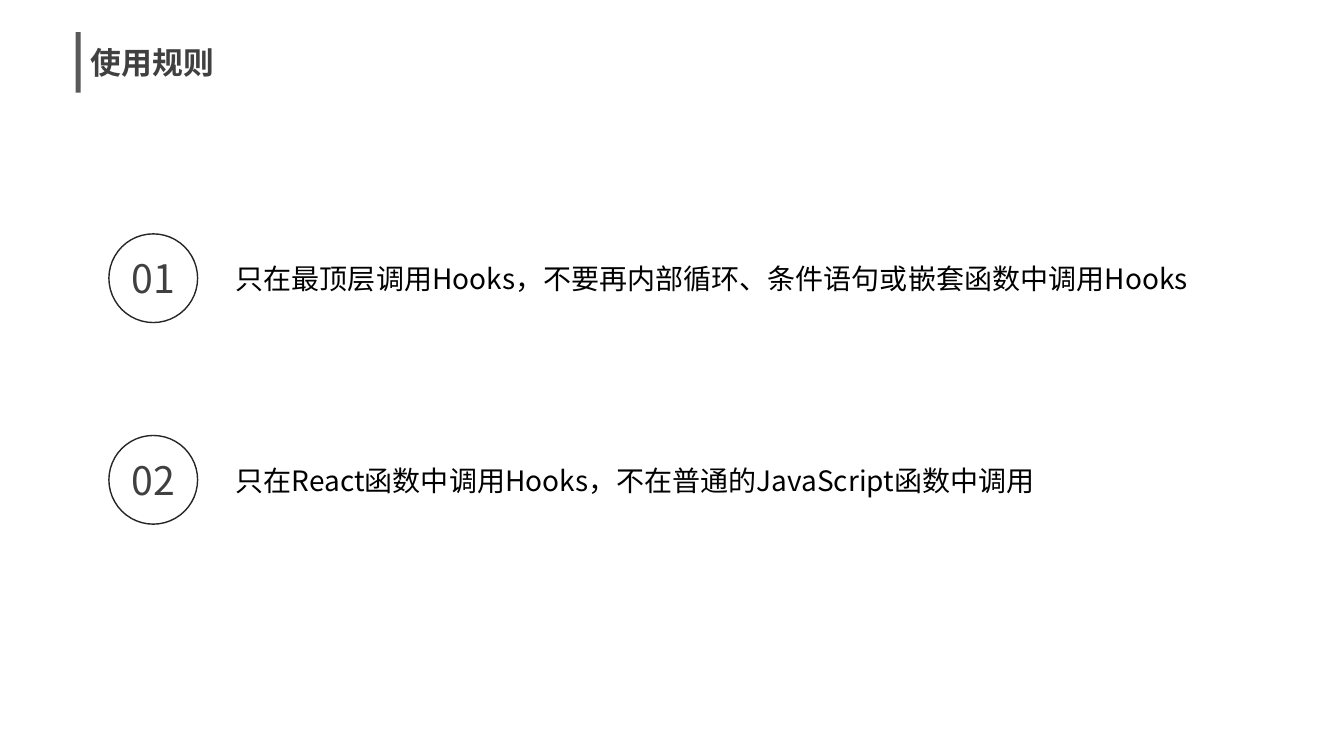
import pptx
import pptx.dml.color
import pptx.enum.shapes
import pptx.enum.text
import pptx.oxml.ns
import pptx.util
from lxml import etree

Inches = pptx.util.Inches
Shapes = pptx.enum.shapes.MSO_SHAPE
Align = pptx.enum.text.PP_ALIGN
Anchor = pptx.enum.text.MSO_ANCHOR
AutoSize = pptx.enum.text.MSO_AUTO_SIZE

FONT = "Noto Sans CJK SC"
RULES = [
    "只在最顶层调用Hooks，不要再内部循环、条件语句或嵌套函数中调用Hooks",
    "只在React函数中调用Hooks，不在普通的JavaScript函数中调用",
]


def color(hex_string):
    return pptx.dml.color.RGBColor.from_string(hex_string)


def write(shape, text, size, hex_string, alignment, anchor, wrap, bold=False):
    text_frame = shape.text_frame
    text_frame.text = text
    text_frame.word_wrap = wrap
    text_frame.vertical_anchor = anchor
    paragraph = text_frame.paragraphs[0]
    paragraph.alignment = alignment
    paragraph.line_spacing = 1.0
    run = paragraph.runs[0]
    run.font.size = pptx.util.Pt(size)
    run.font.bold = bold
    run.font.color.rgb = color(hex_string)
    run.font.name = FONT
    east_asian = etree.SubElement(run._r.get_or_add_rPr(), pptx.oxml.ns.qn("a:ea"))
    east_asian.set("typeface", FONT)


def add_heading(slide, text, left, top):
    bar = slide.shapes.add_shape(
        Shapes.RECTANGLE, Inches(left), Inches(top), Inches(0.05), Inches(0.6))
    bar.shadow.inherit = False
    bar.fill.solid()
    bar.fill.fore_color.rgb = color("595959")
    bar.line.fill.background()

    title = slide.shapes.title
    title.left, title.top = Inches(left + 0.05), Inches(top + 0.06)
    title.width, title.height = Inches(1.44), Inches(0.47)
    write(title, text, 22, "404040", Align.LEFT, Anchor.TOP, False, bold=True)
    title.text_frame.auto_size = AutoSize.SHAPE_TO_FIT_TEXT


def add_rule(slide, number, text, left, top):
    circle = slide.shapes.add_shape(
        Shapes.OVAL, Inches(left), Inches(top), Inches(0.88), Inches(0.88))
    circle.shadow.inherit = False
    circle.fill.background()
    circle.line.color.rgb = color("262626")
    circle.line.width = pptx.util.Pt(1)
    write(circle, f"{number:02d}", 28, "404040", Align.CENTER, Anchor.MIDDLE, False)

    box = slide.shapes.add_textbox(
        Inches(left + 1.16), Inches(top + 0.23), Inches(10.01), Inches(0.44))
    write(box, text, 20, "000000", Align.JUSTIFY, Anchor.TOP, True)
    box.text_frame.auto_size = AutoSize.SHAPE_TO_FIT_TEXT


def main():
    presentation = pptx.Presentation()
    presentation.slide_width = Inches(13.33)
    presentation.slide_height = Inches(7.5)
    slide = presentation.slides.add_slide(presentation.slide_layouts.get_by_name("Title Only"))
    slide.background.fill.solid()
    slide.background.fill.fore_color.rgb = color("FFFFFF")
    add_heading(slide, "使用规则", 0.75, 0.32)
    for index, text in enumerate(RULES):
        add_rule(slide, index + 1, text, 1.08, 2.32 + 2 * index)
    presentation.save("out.pptx")


if __name__ == "__main__":
    main()
